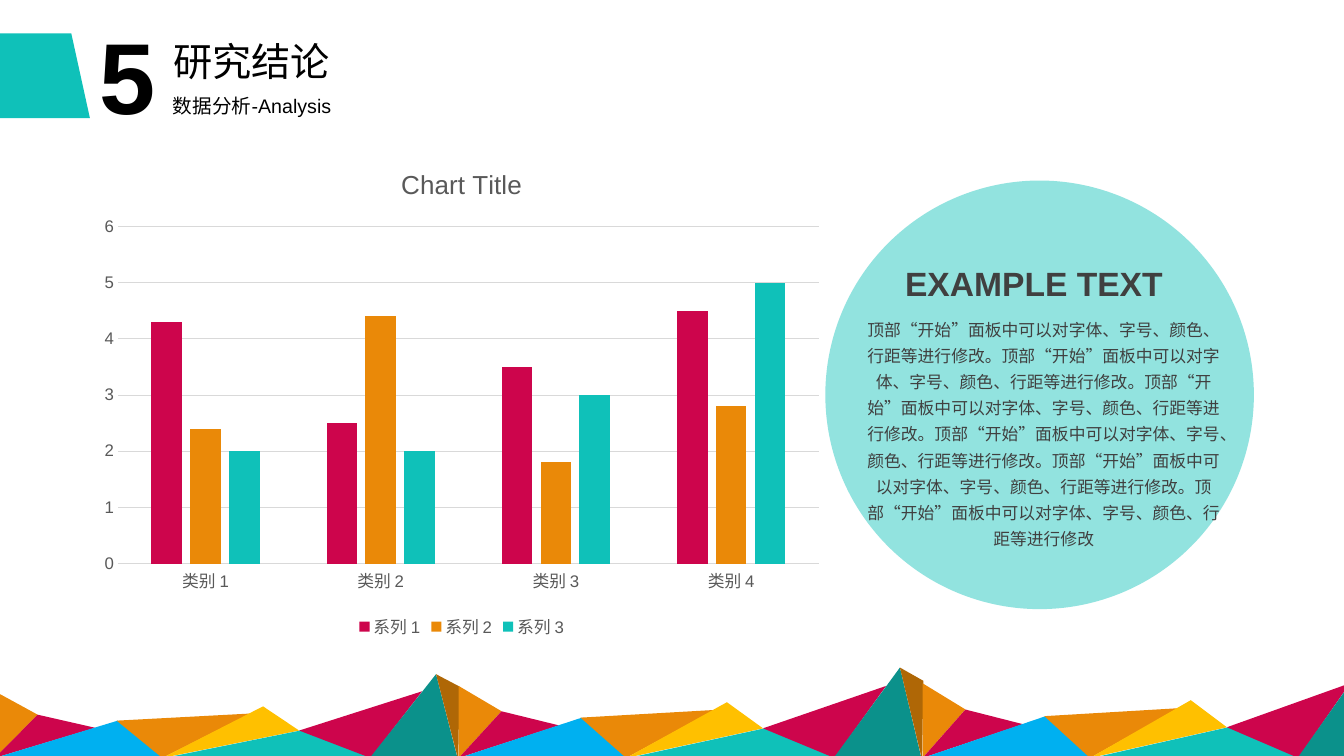
from dataclasses import dataclass
from typing import NamedTuple

from lxml import etree
from pptx import Presentation
from pptx import util as u
from pptx.chart.data import CategoryChartData
from pptx.dml.color import RGBColor
from pptx.enum import chart as ch
from pptx.enum import shapes, text
from pptx.oxml.ns import qn


@dataclass(frozen=True)
class Theme:
    font: str = "Arial"
    black: str = "000000"
    body: str = "404040"
    label: str = "595959"
    grid: str = "D9D9D9"
    crimson: str = "CD054C"
    orange: str = "EA8908"
    teal: str = "0FC1B9"
    dark_teal: str = "0B918B"
    brown: str = "AF6706"
    blue: str = "00B0F0"
    yellow: str = "FFC000"
    number_pt: float = 72
    title_pt: float = 28
    heading_pt: float = 24
    chart_title_pt: float = 18.6
    subtitle_pt: float = 14
    small_pt: float = 12


T = Theme()


class Box(NamedTuple):
    """Left, top, width and height in centimetres."""
    left: float
    top: float
    width: float
    height: float

    def lengths(self) -> list:
        return [u.Cm(v) for v in self]


class Triangle(NamedTuple):
    """Corners as (offset, height) within one mountain range, in centimetres."""
    color: str
    corners: tuple


@dataclass(frozen=True)
class Label:
    box: Box
    words: str
    size: float
    color: str = T.black
    bold: bool = False
    align: text.PP_ALIGN = text.PP_ALIGN.LEFT
    spacing: float = 1.0


class Series(NamedTuple):
    name: str
    values: tuple
    color: str


# Mountain border: one range, repeated with growing height
BASE_Y, RANGE_X, RANGE_STEP = 19.1, -0.13, 11.69
RANGE_SCALES = (1, 1.08, 1.12)
RANGE = [
    Triangle(T.orange, ((0, 0), (0, 1.68), (1.08, 1.09))),
    Triangle(T.crimson, ((0, 0), (1.08, 1.09), (2.53, 0.76))),
    Triangle(T.blue, ((0, 0), (3.1, 0.94), (4.27, 0))),
    Triangle(T.orange, ((3.07, 0.94), (6.46, 1.12), (4.22, 0))),
    Triangle(T.yellow, ((4.22, 0), (6.76, 1.3), (7.67, 0.69))),
    Triangle(T.teal, ((4.27, 0), (7.7, 0.69), (9.53, 0))),
    Triangle(T.crimson, ((9.47, 0), (7.67, 0.69), (10.77, 1.68))),
    Triangle(T.dark_teal, ((9.45, 0), (11.12, 2.11), (11.66, 0))),
    Triangle(T.brown, ((11.12, 2.11), (11.71, 1.8), (11.68, -0.05))),
]

# Texts
TITLE = Label(Box(4.11, 0.81, 4.55, 1.45), "研究结论", T.title_pt)
HEADER = [
    Label(Box(4.11, 2.24, 7.57, 0.86), "数据分析-Analysis", T.subtitle_pt),
    Label(Box(2.26, 0.23, 3.71, 3.33), "5", T.number_pt, bold=True),
]
HINT = "顶部“开始”面板中可以对字体、字号、颜色、行距等进行修改"
CIRCLE_TEXTS = [
    Label(Box(22.56, 5.99, 7.72, 1.8), "EXAMPLE TEXT", T.heading_pt, T.body,
          bold=True, spacing=1.5),
    Label(Box(21.54, 7.77, 9.53, 6.93), "。".join([HINT] * 6), T.small_pt, T.body,
          align=text.PP_ALIGN.CENTER, spacing=1.3),
]

# Chart data
CATEGORIES = [f"类别 {n}" for n in range(1, 5)]
SERIES = [
    Series("系列 1", (4.3, 2.5, 3.5, 4.5), T.crimson),
    Series("系列 2", (2.4, 4.4, 1.8, 2.8), T.orange),
    Series("系列 3", (2, 2, 3, 5), T.teal),
]


def paint(sp, color: str) -> None:
    sp.fill.solid()
    sp.fill.fore_color.rgb = RGBColor.from_string(color)
    sp.line.fill.background()
    sp.shadow.inherit = False


def set_font(font, size: float, color: str, bold: bool = False) -> None:
    font.name, font.size, font.bold = T.font, u.Pt(size), bold
    font.color.rgb = RGBColor.from_string(color)


def write(sp, label: Label) -> None:
    sp.left, sp.top, sp.width, sp.height = label.box.lengths()
    tf = sp.text_frame
    tf.word_wrap = True
    tf.auto_size = text.MSO_AUTO_SIZE.SHAPE_TO_FIT_TEXT
    tf.vertical_anchor = text.MSO_ANCHOR.TOP
    p = tf.paragraphs[0]
    p.text = label.words
    p.alignment, p.line_spacing = label.align, label.spacing
    set_font(p.font, label.size, label.color, label.bold)


def add_label(s, label: Label) -> None:
    write(s.shapes.add_textbox(*label.box.lengths()), label)


def add_triangle(s, triangle: Triangle, left: float, scale: float) -> None:
    points = [(u.Cm(left + x), u.Cm(BASE_Y - h * scale)) for x, h in triangle.corners]
    builder = s.shapes.build_freeform(*points[0])
    builder.add_line_segments(points[1:], close=True)
    paint(builder.convert_to_shape(), triangle.color)


def add_mountains(s, slide_width: float) -> None:
    for i, scale in enumerate(RANGE_SCALES):
        left = RANGE_X + i * RANGE_STEP
        for triangle in RANGE:
            if left + min(x for x, _ in triangle.corners) < slide_width:
                add_triangle(s, triangle, left, scale)
                if triangle.color == T.dark_teal and i == len(RANGE_SCALES) - 1:
                    break


def style_line(line, color: str) -> None:
    line.color.rgb = RGBColor.from_string(color)
    line.width = u.Pt(0.75)


def add_column_chart(s, box: Box) -> None:
    data = CategoryChartData()
    data.categories = CATEGORIES
    for series in SERIES:
        data.add_series(series.name, series.values)
    chart = s.shapes.add_chart(ch.XL_CHART_TYPE.COLUMN_CLUSTERED, *box.lengths(), data).chart
    set_font(chart.font, T.small_pt, T.label)

    chart.has_title = True
    p = chart.chart_title.text_frame.paragraphs[0]
    p.text = "Chart Title"
    set_font(p.font, T.chart_title_pt, T.label)
    chart.has_legend = True
    chart.legend.position = ch.XL_LEGEND_POSITION.BOTTOM
    chart.legend.include_in_layout = False

    plot = chart.plots[0]
    plot.gap_width, plot.overlap, plot.vary_by_categories = 219, -27, False
    for bars, series in zip(plot.series, SERIES):
        bars.format.fill.solid()
        bars.format.fill.fore_color.rgb = RGBColor.from_string(series.color)

    for axis in (chart.category_axis, chart.value_axis):
        axis.major_tick_mark = axis.minor_tick_mark = ch.XL_TICK_MARK.NONE
    style_line(chart.category_axis.format.line, T.grid)
    values = chart.value_axis
    values.minimum_scale, values.maximum_scale, values.major_unit = 0, 6, 1
    values.format.line.fill.background()
    style_line(values.major_gridlines.format.line, T.grid)


def add_circle(s, box: Box, opacity: int) -> None:
    sp = s.shapes.add_shape(shapes.MSO_SHAPE.OVAL, *box.lengths())
    paint(sp, T.teal)
    color = sp.fill._xPr.find(qn("a:solidFill"))[0]
    etree.SubElement(color, qn("a:alpha")).set("val", str(opacity * 1000))


def main() -> None:
    prs = Presentation()
    prs.slide_width, prs.slide_height = u.Cm(33.87), u.Cm(19.05)
    s = prs.slides.add_slide(prs.slide_layouts[5])
    add_mountains(s, prs.slide_width.cm)

    # Header
    tab = s.shapes.add_shape(shapes.MSO_SHAPE.FLOWCHART_MANUAL_INPUT,
                             *Box(0.03, 0.74, 2.13, 2.34).lengths())
    tab.rotation = 90
    paint(tab, T.teal)
    write(s.shapes.title, TITLE)
    for label in HEADER:
        add_label(s, label)

    # Content
    add_column_chart(s, Box(2.26, 3.71, 18.75, 12.5))
    add_circle(s, Box(20.8, 4.55, 10.8, 10.8), 45)
    for label in CIRCLE_TEXTS:
        add_label(s, label)
    prs.save("out.pptx")


if __name__ == "__main__":
    main()
